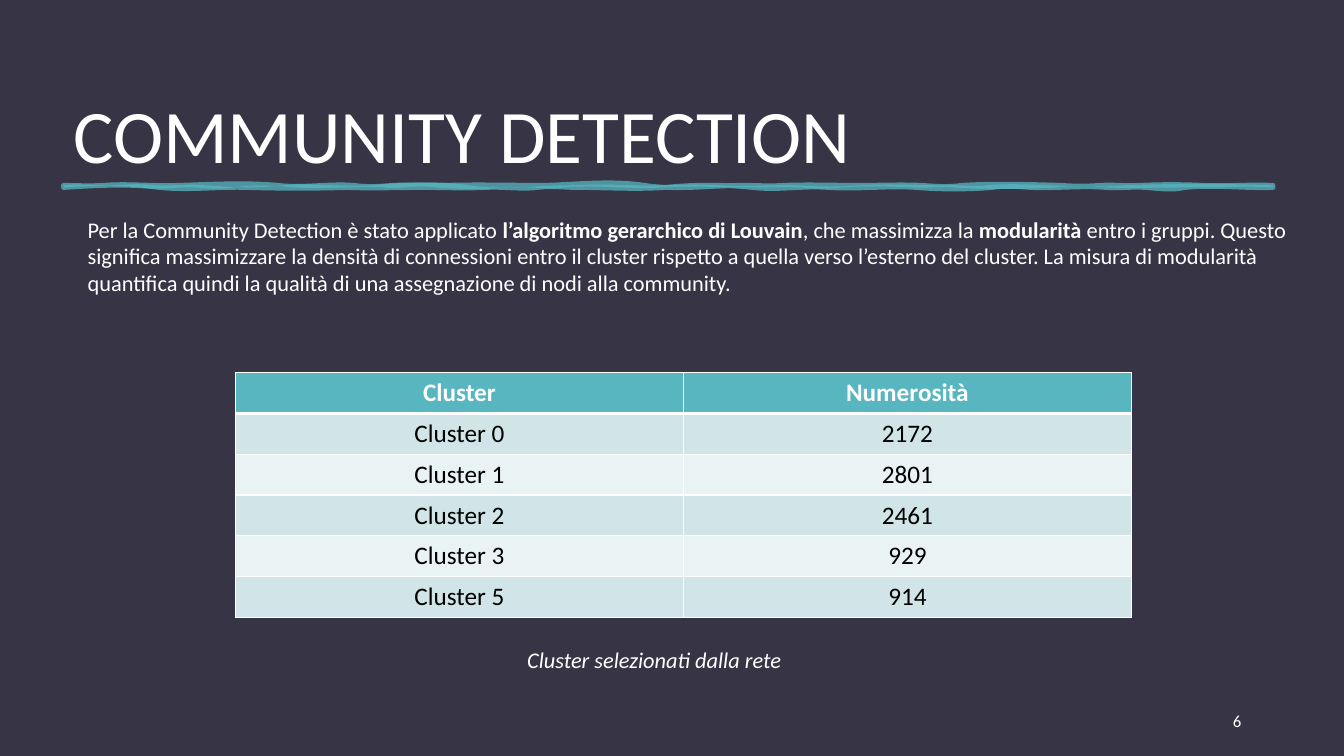
from copy import deepcopy
from lxml.etree import SubElement
from pptx import Presentation
from pptx.dml.color import RGBColor
from pptx.enum.text import MSO_ANCHOR, MSO_AUTO_SIZE, PP_ALIGN
from pptx.oxml.ns import qn
from pptx.util import Pt

# Content
TITLE = "COMMUNITY DETECTION"
INTRO = [
    ("Per la Community Detection è stato applicato ", False),
    ("l’algoritmo gerarchico di Louvain", True),
    (", che massimizza la ", False),
    ("modularità", True),
    (" entro i gruppi. Questo significa massimizzare la densità di connessioni "
     "entro il cluster rispetto a quella verso l’esterno del cluster. La misura "
     "di modularità quantifica quindi la qualità di una assegnazione di nodi "
     "alla community.", False),
]
CLUSTERS = [
    ("Cluster", "Numerosità"),
    ("Cluster 0", "2172"),
    ("Cluster 1", "2801"),
    ("Cluster 2", "2461"),
    ("Cluster 3", "929"),
    ("Cluster 5", "914"),
]
CAPTION = "Cluster selezionati dalla rete"
PAGE = "6"

FONT = "Calibri"
DARK, WHITE, BLACK, TEAL = "373545", "FFFFFF", "000000", "58B6C0"
BANDS = ["EAF3F4", "D1E5E8"]

# Brush stroke: waves as (width, first bend, second bend), top edge then bottom
RULE_LEFT, RULE_TOP, RULE_WIDTH, RULE_HEIGHT = 45.36, 132.4, 864, 1.5
BEND = 0.72
STROKE_EDGES = [
    [(28, 0, 1), (54, -2, 1), (71, -1, -3), (54, 3, -2), (28, 2, 1), (37, -1, 1),
     (71, -1, 0), (71, -1, -5), (71, 5, 0), (28, 0, 1), (54, -1, 0), (45, 0, -1),
     (28, 1, 2), (71, -2, -1), (28, 1, 1), (28, -1, 1), (45, -1, -1), (50, 1, -1)],
    [(63, 1, -3), (28, 3, 1), (28, -1, 1), (54, -2, 1), (28, -1, -2), (54, 2, 2),
     (63, -2, 2), (54, -2, 3), (63, -3, -3), (63, 2, 0), (28, 0, -2), (37, 2, -1),
     (45, 1, 0), (54, 0, 1), (71, 1, 1), (63, -1, 3), (69, -4, -2)],
]
FILL_EDGES = [
    [(37, -2, 1), (28, -1, -2), (37, 1, -2), (54, 2, 3), (63, -3, 2), (71, -3, -5),
     (71, 5, 0), (45, -1, -1), (63, 1, -2), (54, 2, -1), (45, 1, 2), (63, -2, 0),
     (28, -1, 2), (45, -2, -1), (54, 1, 2), (106, -2, -2)],
    [(37, -1, -1), (28, 0, 0), (54, 0, 1), (37, -1, -2), (71, 2, 2), (28, -2, 1),
     (54, -1, -2), (28, 2, 1), (37, -1, 0), (63, 0, -2), (71, 2, -3), (37, 3, -2),
     (54, 2, 2), (37, -3, 2), (63, -2, 2), (45, -2, -3), (37, 3, -1), (28, 1, 2),
     (56, -2, -2)],
]


def rgb(color):
    return RGBColor.from_string(color)


def style(p, size, color=WHITE, align=PP_ALIGN.LEFT):
    p.font.name, p.font.size, p.font.color.rgb = FONT, Pt(size), rgb(color)
    p.alignment = align


def add_text(left, top, width, height, runs, size, align=PP_ALIGN.LEFT):
    tf = s.shapes.add_textbox(Pt(left), Pt(top), Pt(width), Pt(height)).text_frame
    tf.word_wrap = True
    p = tf.paragraphs[0]
    style(p, size, align=align)
    for text, bold in runs:
        r = p.add_run()
        r.text = text
        if bold:
            r.font.bold = True
    return tf


def add_step(outline, tag, points):
    step = SubElement(outline, qn("a:" + tag))
    for x, y in points:
        SubElement(step, qn("a:pt"), x=str(Pt(x)), y=str(Pt(y)))


def draw_edges(outline, edges):
    for step in list(outline):
        outline.remove(step)
    add_step(outline, "moveTo", [(0, 0)])
    for x, y, sign, waves in [(0, 0, 1, edges[0]),
                              (RULE_WIDTH, RULE_HEIGHT, -1, edges[1])]:
        if sign < 0:
            add_step(outline, "lnTo", [(x, y)])
        scale = sign * RULE_WIDTH / sum(width for width, _, _ in waves)
        for width, a, b in waves:
            dx = width * scale
            add_step(outline, "cubicBezTo", [(x + dx / 3, y + a * BEND),
                                             (x + dx * 2 / 3, y + b * BEND),
                                             (x + dx, y)])
            x += dx
    SubElement(outline, qn("a:close"))


def add_border(tc_pr, side, width):
    ln = SubElement(tc_pr, qn("a:" + side), w=str(Pt(width)))
    SubElement(SubElement(ln, qn("a:solidFill")), qn("a:srgbClr"), val=WHITE)


prs = Presentation()
prs.slide_width, prs.slide_height = Pt(960), Pt(540)
s = prs.slides.add_slide(prs.slide_layouts[5])
s.background.fill.solid()
s.background.fill.fore_color.rgb = rgb(DARK)

# Title
sp = s.shapes.title
sp.left, sp.top, sp.width, sp.height = Pt(45.36), Pt(18.9), Pt(867.6), Pt(113.04)
tf = sp.text_frame
tf.text = TITLE
tf.vertical_anchor, tf.auto_size = MSO_ANCHOR.BOTTOM, MSO_AUTO_SIZE.NONE
style(tf.paragraphs[0], 54)
tf.paragraphs[0].line_spacing = 0.9

# Brush stroke under the title: one outline drawn, the other filled
right, bottom = RULE_LEFT + RULE_WIDTH, RULE_TOP + RULE_HEIGHT
fb = s.shapes.build_freeform(Pt(RULE_LEFT), Pt(RULE_TOP))
fb.add_line_segments([(Pt(right), Pt(RULE_TOP)), (Pt(right), Pt(bottom)),
                      (Pt(RULE_LEFT), Pt(bottom))])
sp = fb.convert_to_shape()
sp.shadow.inherit = False
sp.fill.solid()
sp.fill.fore_color.rgb = rgb(TEAL)
sp.line.color.rgb = rgb(TEAL)
sp.line.width = Pt(3.5)
for color in sp._element.spPr.iter(qn("a:srgbClr")):
    SubElement(color, qn("a:alpha"), val="75000")
drawn = next(sp._element.iter(qn("a:path")))
filled = deepcopy(drawn)
drawn.addnext(filled)
drawn.set("fill", "none")
filled.set("stroke", "0")
draw_edges(drawn, STROKE_EDGES)
draw_edges(filled, FILL_EDGES)

# Page number, introduction and caption
tf = add_text(677.8, 500.4, 216, 28.8, [(PAGE, False)], 12, PP_ALIGN.RIGHT)
tf.vertical_anchor = MSO_ANCHOR.MIDDLE
add_text(55.5, 150.5, 885, 65.5, INTRO, 16)
tf = add_text(369.4, 458, 428.4, 26.6, [(CAPTION, False)], 16)
tf.paragraphs[0].font.italic = True

# Cluster table
ROW = 29.16
table = s.shapes.add_table(len(CLUSTERS), 2, Pt(168.2), Pt(266.2),
                           Pt(640), Pt(ROW * len(CLUSTERS))).table
for i, values in enumerate(CLUSTERS):
    table.rows[i].height = Pt(ROW)
    for j, value in enumerate(values):
        cell = table.cell(i, j)
        cell.text = value
        p = cell.text_frame.paragraphs[0]
        style(p, 18, BLACK if i else WHITE, PP_ALIGN.CENTER)
        p.font.bold = i == 0
        tc_pr = cell._tc.get_or_add_tcPr()
        for side, width in [("lnL", 1), ("lnR", 1), ("lnT", 3 if i == 1 else 1),
                            ("lnB", 3 if i == 0 else 1)]:
            add_border(tc_pr, side, width)
        cell.fill.solid()
        cell.fill.fore_color.rgb = rgb(BANDS[i % 2] if i else TEAL)

prs.save("out.pptx")
